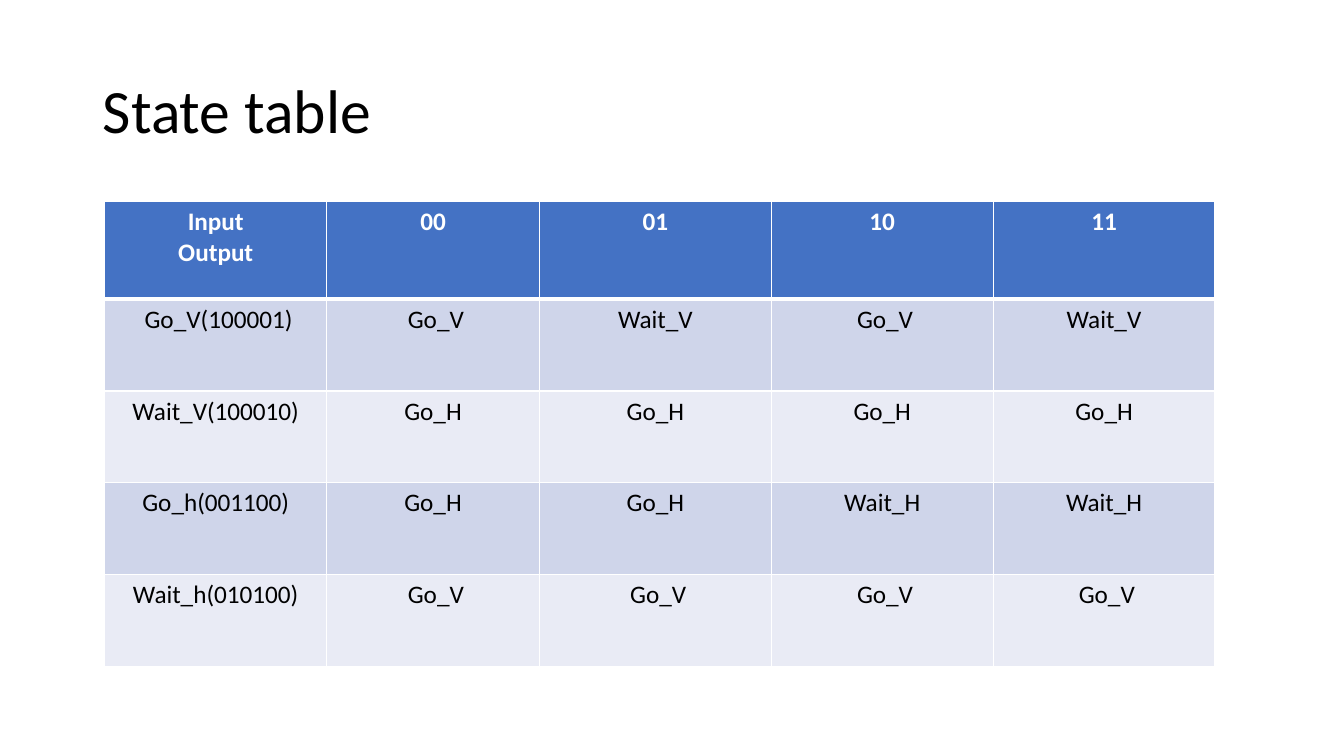
from lxml.etree import SubElement
from pptx import Presentation
from pptx.dml.color import RGBColor
from pptx.enum.text import MSO_ANCHOR, PP_ALIGN
from pptx.oxml.ns import qn
from pptx.util import Inches, Pt

BLACK = RGBColor(0, 0, 0)
WHITE = RGBColor(255, 255, 255)
BLUE = RGBColor(0x44, 0x72, 0xC4)
DARK = RGBColor(0xCF, 0xD5, 0xEA)
LIGHT = RGBColor(0xE9, 0xEB, 0xF5)

STATES = [
    ["Input\nOutput", "00", "01", "10", "11"],
    [" Go_V(100001)", " Go_V", "Wait_V", " Go_V", "Wait_V"],
    ["Wait_V(100010)"] + ["Go_H"] * 4,
    ["Go_h(001100)", "Go_H", "Go_H", "Wait_H", "Wait_H"],
    ["Wait_h(010100)"] + [" Go_V"] * 4,
]
WIDTHS = [2.2, 2.11, 2.3, 2.2, 2.2]
HEIGHTS = [0.97] + [0.91] * 4


class Page:
    font = "Calibri"

    def __init__(self, deck):
        self.slide = deck.slides.add_slide(deck.slide_layouts[5])

    def style(self, frame, size, color, align, bold=False):
        for para in frame.paragraphs:
            para.alignment = align
            for run in para.runs:
                run.font.name = self.font
                run.font.size = Pt(size)
                run.font.bold = bold
                run.font.color.rgb = color

    def title(self, text, left, top, width, height):
        box = self.slide.shapes.title
        box.left, box.top = Inches(left), Inches(top)
        box.width, box.height = Inches(width), Inches(height)
        frame = box.text_frame
        frame.text = text
        frame.word_wrap = True
        frame.vertical_anchor = MSO_ANCHOR.MIDDLE
        frame.paragraphs[0].line_spacing = 0.9
        self.style(frame, 44, BLACK, PP_ALIGN.LEFT)

    def border(self, cell, sides):
        props = cell._tc.get_or_add_tcPr()
        for side, width in sides.items():
            line = SubElement(props, qn("a:ln" + side), w=str(Pt(width)))
            fill = SubElement(line, qn("a:solidFill"))
            SubElement(fill, qn("a:srgbClr"), val=str(WHITE))

    def table(self, rows, left, top, widths, heights):
        grid = self.slide.shapes.add_table(
            len(rows), len(widths), Inches(left), Inches(top),
            Inches(sum(widths)), Inches(sum(heights))).table
        for col, width in zip(grid.columns, widths):
            col.width = Inches(width)
        for r, texts in enumerate(rows):
            grid.rows[r].height = Inches(heights[r])
            head = r == 0
            shade = BLUE if head else DARK if r % 2 else LIGHT
            sides = {"L": 1, "R": 1, "T": 3 if r == 1 else 1, "B": 3 if head else 1}
            for c, text in enumerate(texts):
                cell = grid.cell(r, c)
                cell.text_frame.text = text
                self.border(cell, sides)
                cell.fill.solid()
                cell.fill.fore_color.rgb = shade
                self.style(cell.text_frame, 18, WHITE if head else BLACK,
                           PP_ALIGN.CENTER, head)


deck = Presentation()
deck.slide_width, deck.slide_height = Inches(13.33), Inches(7.5)
page = Page(deck)
page.title("State table", 0.92, 0.4, 11.5, 1.45)
page.table(STATES, 1.04, 2, WIDTHS, HEIGHTS)
deck.save("out.pptx")
